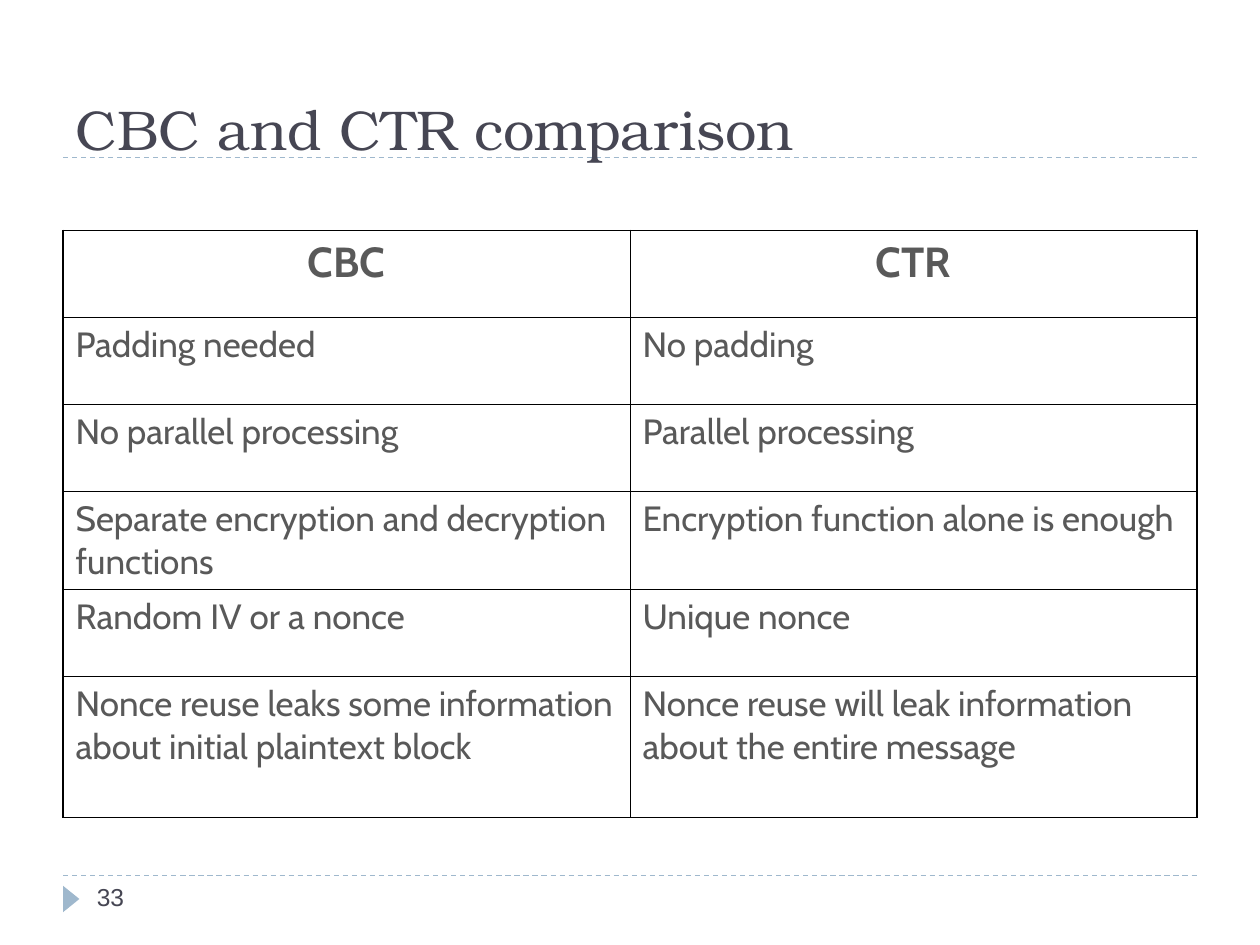
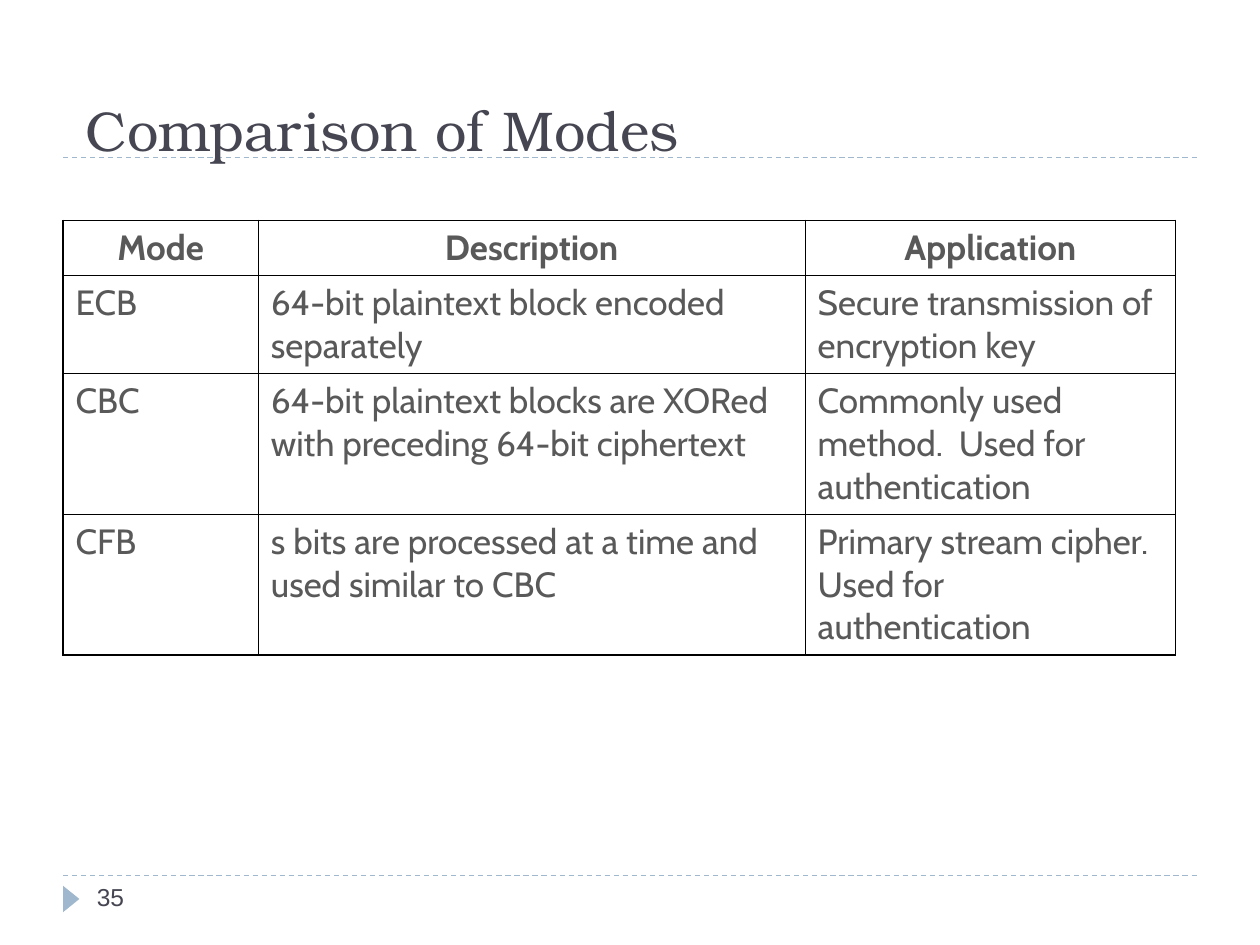
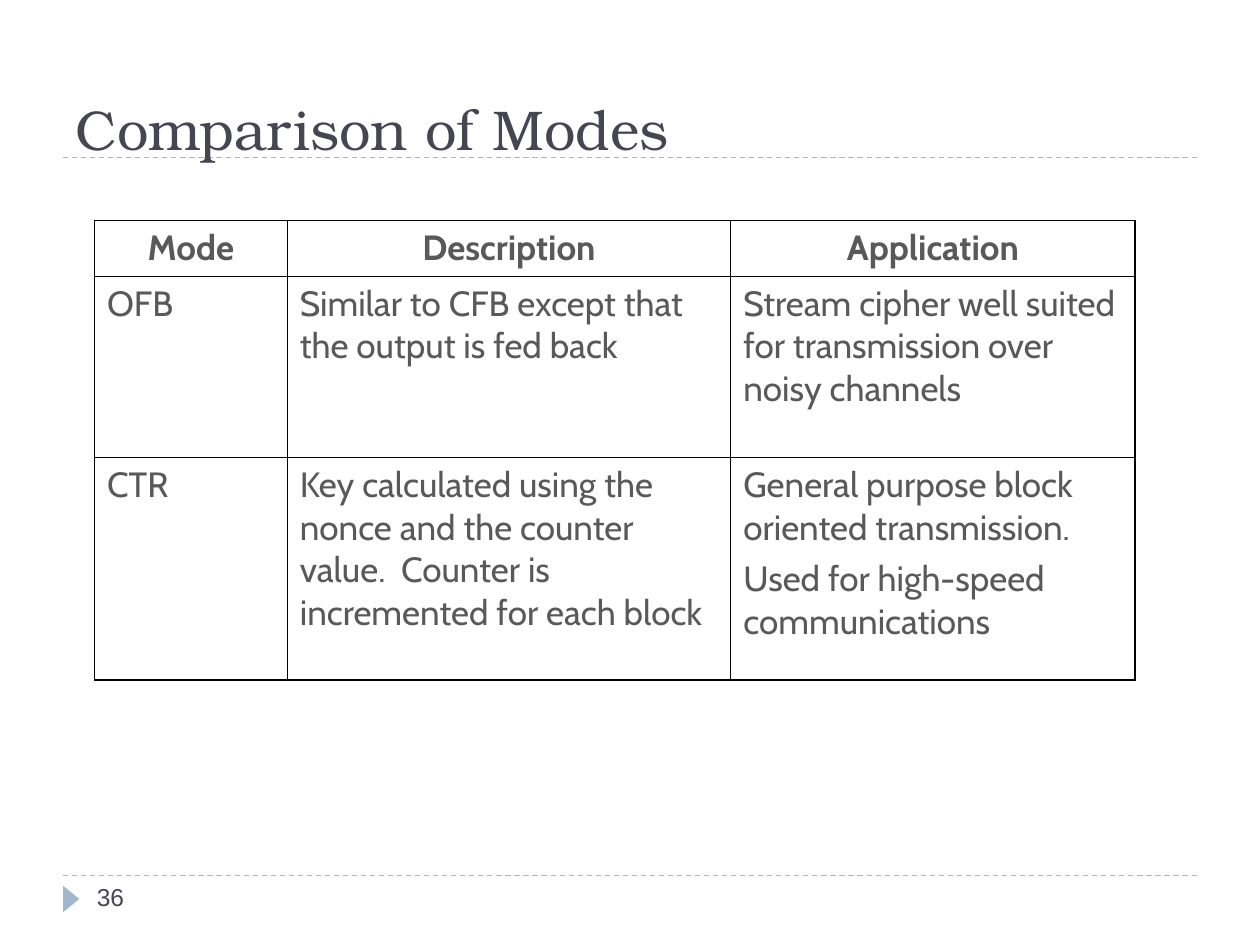
import pptx
import pptx.util
import pptx.oxml
import pptx.oxml.ns
import pptx.dml.color
import pptx.enum.dml
import pptx.enum.shapes
import pptx.enum.text

Inches, Pt = pptx.util.Inches, pptx.util.Pt
RGBColor = pptx.dml.color.RGBColor
PP_ALIGN = pptx.enum.text.PP_ALIGN

INK = RGBColor(0x46, 0x46, 0x53)
BODY = RGBColor(0x59, 0x59, 0x59)
ACCENT = RGBColor(0x9F, 0xB8, 0xCD)
BORDER = RGBColor(0, 0, 0)
TITLE_FONT, TABLE_FONT, NUMBER_FONT = "TeX Gyre Bonum", "Cabin", "Arial"
OUTER, INNER = 1.08, 0.45
TITLE_BOX = (0.5, 0.3, 9, 1.03)
MODE_HEADER = ("Mode", "Description", "Application")

SLIDES = [
    {
        "title": "CBC and CTR comparison", "title_box": TITLE_BOX, "number": "33",
        "corner": (0.5, 1.83), "header_size": 24,
        "widths": (4.5, 4.5), "heights": (0.69, 0.69, 0.69, 0.78, 0.69, 1.12),
        "rows": [
            ("CBC", "CTR"),
            ("Padding needed", "No padding"),
            ("No parallel processing", "Parallel processing"),
            ("Separate encryption and decryption functions",
             "Encryption function alone is enough"),
            ("Random IV or a nonce", "Unique nonce"),
            ("Nonce reuse leaks some information about initial plaintext block",
             "Nonce reuse will leak information about the entire message"),
        ],
    },
    {
        "title": "Comparison of Modes", "title_box": (0.58, 0.42, 9, 0.92), "number": "35",
        "corner": (0.5, 1.75), "header_size": 20,
        "widths": (1.55, 4.34, 2.94), "heights": (0.43, 0.77, 1.1, 1.1),
        "rows": [
            MODE_HEADER,
            ("ECB", "64-bit plaintext block encoded separately",
             "Secure transmission of encryption key"),
            ("CBC", "64-bit plaintext blocks are XORed with preceding 64-bit ciphertext",
             "Commonly used method.  Used for authentication"),
            ("CFB", "s bits are processed at a time and used similar to CBC",
             "Primary stream cipher. Used for authentication"),
        ],
    },
    {
        "title": "Comparison of Modes", "title_box": TITLE_BOX, "number": "36",
        "corner": (0.75, 1.75), "header_size": 20,
        "widths": (1.53, 3.52, 3.21), "heights": (0.44, 1.44, 1.77),
        "rows": [
            MODE_HEADER,
            ("OFB", "Similar to CFB except that the output is fed back",
             "Stream cipher well suited for transmission over noisy channels"),
            ("CTR", "Key calculated using the nonce and the counter value.  "
                    "Counter is incremented for each block",
             "General purpose block oriented transmission.\n"
             "Used for high-speed communications"),
        ],
    },
]


def add_run(p, text, font, size, color, bold=False):
    r = p.add_run()
    r.text = text
    r.font.name, r.font.size, r.font.bold = font, Pt(size), bold
    r.font.color.rgb = color


def decorate_layout(layout, slide):
    """Draw the rules and page marker on a slide, then move them to its layout."""
    for ph in list(layout.placeholders)[1:]:
        ph.element.getparent().remove(ph.element)
    marks = []
    for y in (6.95, 1.25):
        rule = slide.shapes.add_connector(
            pptx.enum.shapes.MSO_CONNECTOR.STRAIGHT,
            Inches(0.5), Inches(y), Inches(9.5), Inches(y))
        rule.line.color.rgb = ACCENT
        rule.line.width = Pt(0.75)
        rule.line.dash_style = pptx.enum.dml.MSO_LINE.DASH
        rule.element.spPr.append(pptx.oxml.parse_xml(
            f'<a:effectLst {pptx.oxml.ns.nsdecls("a")}/>'))
        marks.append(rule)
    marker = slide.shapes.add_shape(
        pptx.enum.shapes.MSO_SHAPE.ISOSCELES_TRIANGLE,
        Inches(0.46), Inches(7.07), Inches(0.21), Inches(0.13))
    marker.rotation = 90
    marker.shadow.inherit = False
    marker.fill.solid()
    marker.fill.fore_color.rgb = ACCENT
    marker.line.fill.background()
    for sp in marks + [marker]:
        layout.shapes.element.append(sp.element)


def add_title(slide, text, box):
    sp = slide.shapes.title
    sp.left, sp.top, sp.width, sp.height = map(Inches, box)
    tf = sp.text_frame
    tf.auto_size = pptx.enum.text.MSO_AUTO_SIZE.NONE
    tf.vertical_anchor = pptx.enum.text.MSO_ANCHOR.BOTTOM
    p = tf.paragraphs[0]
    p.alignment = PP_ALIGN.LEFT
    add_run(p, text, TITLE_FONT, 32, INK)


def add_number(slide, number):
    sp = slide.shapes.add_textbox(Inches(0.67), Inches(6.95), Inches(2.17), Inches(0.4))
    sp.text_frame.word_wrap = True
    add_run(sp.text_frame.paragraphs[0], number, NUMBER_FONT, 14, INK)


def set_borders(cell, outer_sides):
    tcPr = cell._tc.get_or_add_tcPr()
    for side in "LRTB":
        width = Pt(OUTER if side in outer_sides else INNER)
        tcPr.append(pptx.oxml.parse_xml(
            f'<a:ln{side} {pptx.oxml.ns.nsdecls("a")} w="{width}"><a:solidFill>'
            f'<a:srgbClr val="{BORDER}"/></a:solidFill></a:ln{side}>'))


def fill_cell(cell, text, is_header, size):
    cell.fill.background()
    tf = cell.text_frame
    for i, line in enumerate(text.split("\n")):
        p = tf.add_paragraph() if i else tf.paragraphs[0]
        if i:
            p.space_before = Pt(5)
        p.alignment = PP_ALIGN.CENTER if is_header else PP_ALIGN.LEFT
        add_run(p, line, TABLE_FONT, size, BODY, is_header)


def add_comparison(slide, content):
    rows, widths, heights = content["rows"], content["widths"], content["heights"]
    left, top = content["corner"]
    table = slide.shapes.add_table(
        len(rows), len(widths), Inches(left), Inches(top),
        Inches(sum(widths)), Inches(sum(heights))).table
    table.first_row = table.horz_banding = False
    for column, width in zip(table.columns, widths):
        column.width = Inches(width)
    last_row, last_col = len(rows) - 1, len(widths) - 1
    for i, texts in enumerate(rows):
        table.rows[i].height = Inches(heights[i])
        for j, text in enumerate(texts):
            cell = table.cell(i, j)
            edges = {"L": j == 0, "R": j == last_col, "T": i == 0, "B": i == last_row}
            set_borders(cell, [side for side, outer in edges.items() if outer])
            fill_cell(cell, text, i == 0, content["header_size"] if i == 0 else 20)


def main():
    prs = pptx.Presentation()
    prs.slide_width, prs.slide_height = Inches(10), Inches(7.5)
    layout = prs.slide_layouts[5]
    for i, content in enumerate(SLIDES):
        slide = prs.slides.add_slide(layout)
        if i == 0:
            decorate_layout(layout, slide)
        add_title(slide, content["title"], content["title_box"])
        add_comparison(slide, content)
        add_number(slide, content["number"])
    prs.save("out.pptx")


if __name__ == "__main__":
    main()
